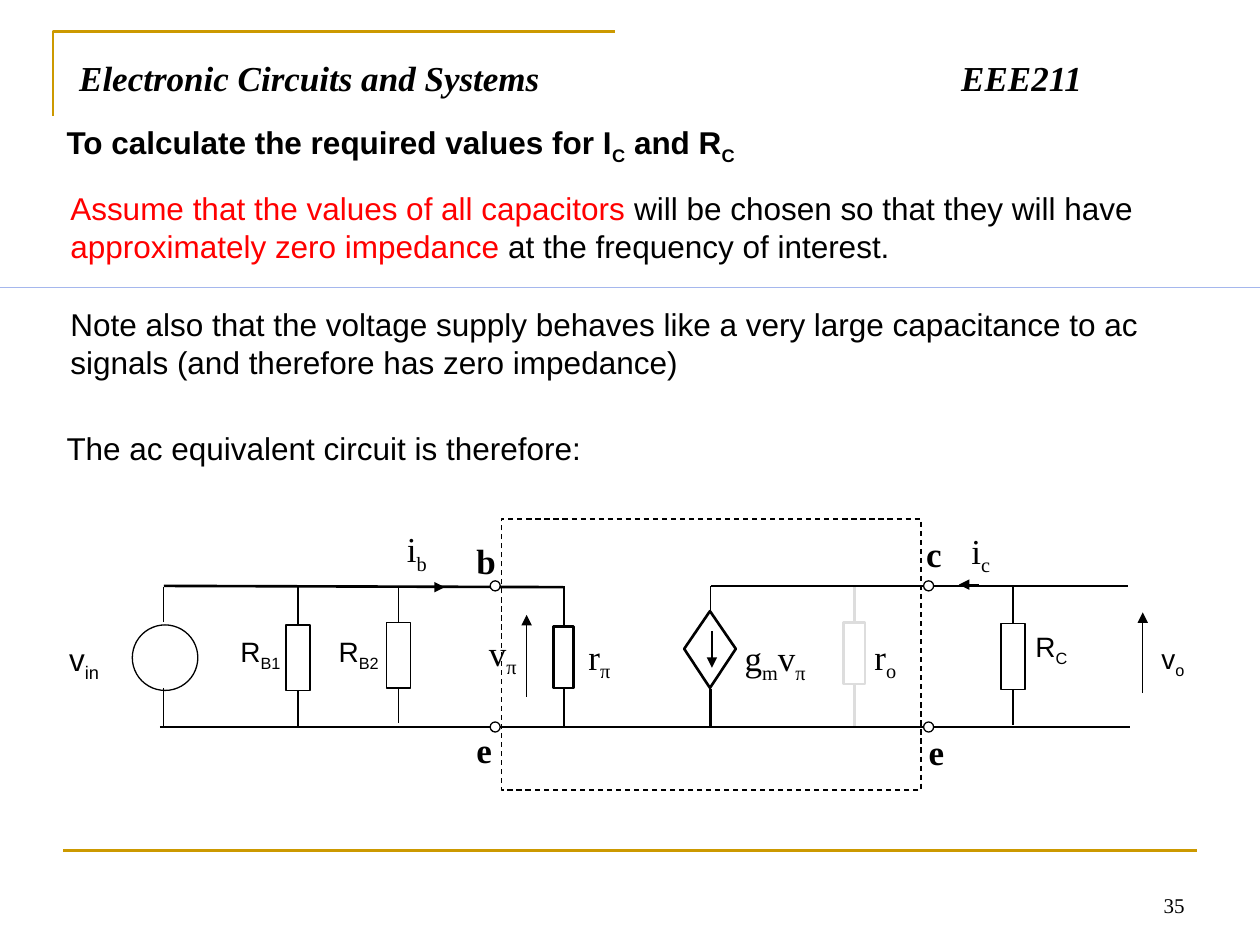
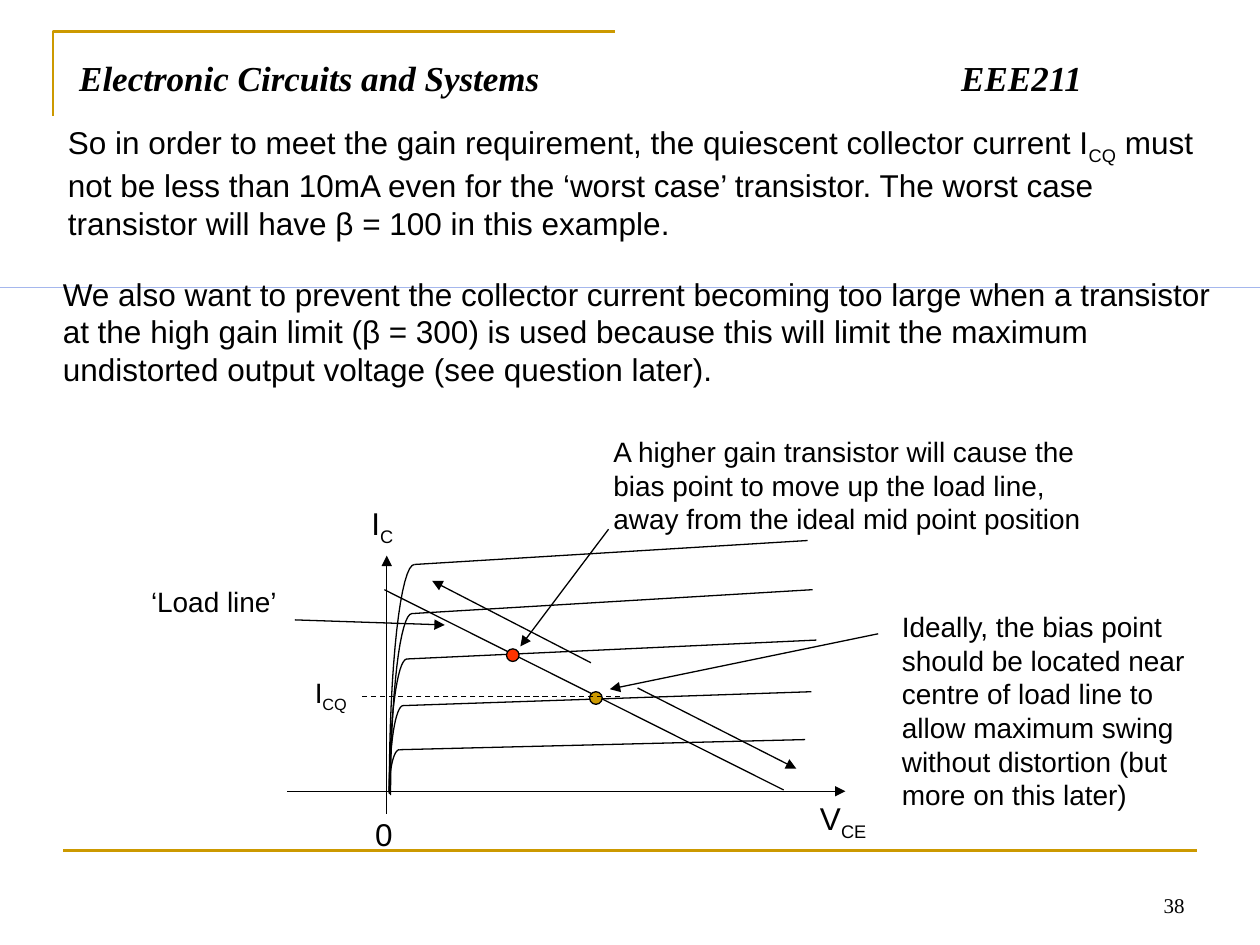
"""Builds two lecture slides on the design of a transistor amplifier."""
from math import cos, pi, sin

from lxml import etree
from pptx import Presentation
from pptx.dml.color import RGBColor
from pptx.enum.dml import MSO_LINE
from pptx.enum.shapes import MSO_CONNECTOR, MSO_SHAPE
from pptx.enum.text import MSO_ANCHOR, PP_ALIGN
from pptx.oxml.ns import qn
from pptx.util import Inches, Pt

RECT, OVAL = MSO_SHAPE.RECTANGLE, MSO_SHAPE.OVAL
STRAIGHT, DASH = MSO_CONNECTOR.STRAIGHT, MSO_LINE.DASH
TOP, BOTTOM = MSO_ANCHOR.TOP, MSO_ANCHOR.BOTTOM
LEFT, RIGHT = PP_ALIGN.LEFT, PP_ALIGN.RIGHT
COLS, ROWS = 100, 75
SANS, SERIF = "Arial", "Times New Roman"
BLACK, WHITE, GOLD, RED = "000000", "FFFFFF", "CC9900", "FF0000"
BLUE, GREY, ORANGE = "0033CC", "DDDDDD", "FF3300"
THIN, THICK = 0.75, 1.5


def rgb(value):
    """Return the colour for a hex string."""
    return RGBColor.from_string(value)


class Deck:
    """Holds the style, the grid and the current slide."""

    def __init__(self):
        """Open an empty presentation of 10 by 7.5 inches."""
        self.prs = Presentation()
        self.prs.slide_width, self.prs.slide_height = Inches(10), Inches(7.5)

    def at(self, col, row):
        """Turn a grid position or size into slide lengths."""
        return (round(col * self.prs.slide_width / COLS),
                round(row * self.prs.slide_height / ROWS))

    def new_slide(self, number):
        """Start a slide with the frame, title and page number."""
        self.s = self.prs.slides.add_slide(self.prs.slide_layouts[6])
        self.outline([(4.2, 9.2), (4.2, 2.5), (48.8, 2.5)], color=GOLD)
        self.wire((5, 67.5), (95, 67.5), THICK, GOLD)
        self.text(number, 71.7, 68.3, 23.3, 5, size=12, font=SERIF,
                  align=RIGHT, anchor=BOTTOM)
        self.text("Electronic Circuits and Systems\tEEE211", 5.3, 4, 89.2, 6.1,
                  size=20, font=SERIF, bold=True, italic=True, tab=70)
        self.shape(RECT, 0, 22.8, 100, 0, fill=BLUE, color=None)

    def text(self, text, col, row, width, height, size=18, font=SANS, bold=False,
             italic=False, align=LEFT, anchor=TOP, inset=True, accent=None, tab=None):
        """Write text whose parts between bars are subscripts, or take the accent colour."""
        sp = self.s.shapes.add_textbox(*self.at(col, row), *self.at(width, height))
        tf = sp.text_frame
        tf.word_wrap, tf.vertical_anchor = True, anchor
        if not inset:
            tf.margin_left = tf.margin_right = tf.margin_top = tf.margin_bottom = 0
        p = tf.paragraphs[0]
        p.alignment = align
        if tab:
            stops = etree.SubElement(p._p.get_or_add_pPr(), qn("a:tabLst"))
            etree.SubElement(stops, qn("a:tab"), pos=str(self.at(tab, 0)[0]), algn="l")
        for i, part in enumerate(text.split("|")):
            if not part:
                continue
            marked = i % 2 == 1
            r = p.add_run()
            r.text = part
            r.font.name, r.font.size = font, Pt(size)
            r.font.bold, r.font.italic = bold, italic
            r.font.color.rgb = rgb(accent if marked and accent else BLACK)
            if marked and not accent:
                r._r.get_or_add_rPr().set("baseline", "-25000")

    def symbol(self, text, col, row, width=2.5, bold=False):
        """Write a circuit symbol in serif type without margins."""
        self.text(text, col, row, width, 3.3, size=20, font=SERIF, bold=bold, inset=False)

    def style(self, sp, fill, color, weight, dash=None):
        """Set the fill and line of a shape."""
        sp.shadow.inherit = False
        if fill:
            sp.fill.solid()
            sp.fill.fore_color.rgb = rgb(fill)
        else:
            sp.fill.background()
        if color:
            sp.line.color.rgb, sp.line.width = rgb(color), Pt(weight)
            sp.line.dash_style = dash
        else:
            sp.line.fill.background()

    def shape(self, kind, col, row, width, height, fill=None, color=BLACK,
              weight=THIN, dash=None):
        """Draw a preset shape."""
        sp = self.s.shapes.add_shape(kind, *self.at(col, row), *self.at(width, height))
        self.style(sp, fill, color, weight, dash)
        return sp

    def outline(self, points, close=False, fill=None, color=BLACK, weight=THICK):
        """Draw a freeform through grid points."""
        first, *rest = [self.at(*point) for point in points]
        builder = self.s.shapes.build_freeform(*first, scale=1.0)
        builder.add_line_segments(rest, close=close)
        self.style(builder.convert_to_shape(), fill, color, weight)

    def wire(self, start, end, weight=THIN, color=BLACK, arrow=False, dash=None):
        """Draw a straight line, with an arrowhead at its end on request."""
        c = self.s.shapes.add_connector(STRAIGHT, *self.at(*start), *self.at(*end))
        c.line.color.rgb, c.line.width = rgb(color), Pt(weight)
        c.line.dash_style = dash
        if arrow:
            etree.SubElement(c.line._get_or_add_ln(), qn("a:tailEnd"), type="triangle")
        etree.SubElement(c._element.spPr, qn("a:effectLst"))
        return c

    def resistor(self, mid, row, width, height, top, bottom, fill=None, color=BLACK):
        """Draw a thick resistor joined to leads above and below."""
        sp = self.shape(RECT, mid - width / 2, row, width, height, fill, color, THICK)
        self.wire((mid, row), (mid, top), THICK, color).begin_connect(sp, 0)
        self.wire((mid, row + height), (mid, bottom), THICK, color).begin_connect(sp, 2)

    def branch(self, mid, row, top, bottom):
        """Draw a thin resistor over a line between the rails."""
        self.wire((mid, top), (mid, bottom))
        self.shape(RECT, mid - 0.95, row, 1.9, 5.2, fill=WHITE)

    def dot(self, col, row, size, fill):
        """Draw a round marker centred on a point."""
        self.shape(OVAL, col - size / 2, row - size / 2, size, size, fill=fill)

    def knee(self, left, bottom, right, top, steps=16):
        """Draw a quarter ellipse that rises from the left to its top."""
        angles = [pi / 2 * i / steps for i in range(steps + 1)]
        self.outline([(right - (right - left) * cos(a), bottom - (bottom - top) * sin(a))
                      for a in angles], weight=THIN)


def circuit_slide(deck):
    """Build the slide with the ac equivalent circuit."""
    deck.new_slide("35")
    deck.text("|Assume that the values of all capacitors| will be chosen so that they "
              "will have |approximately zero impedance |at the frequency of interest.",
              4.6, 14.5, 88.7, 7.1, accent=RED)
    deck.text("The ac equivalent circuit is therefore:", 4.3, 33.6, 88.7, 4)
    deck.text("Note also that the voltage supply behaves like a very large capacitance "
              "to ac signals (and therefore has zero impedance)", 4.6, 23.7, 88.7, 7.1)
    deck.text("To calculate the required values for I|C| and R|C", 4.3, 9.3, 88.7, 4,
              bold=True)

    upper, lower = 46.5, 57.7
    deck.outline([(56.35, 48.5), (54.3, 51.5), (56.35, 54.6), (58.4, 51.5)],
                 close=True, fill=WHITE)
    deck.wire((56.5, 50.1), (56.5, 53), arrow=True)
    deck.wire((56.4, 54.7), (56.4, lower), THICK)
    deck.wire((56.4, 48.5), (56.4, upper), 1)
    deck.resistor(67.8, 49.4, 1.7, 4.9, upper, lower, color=GREY)
    deck.resistor(44.75, 49.7, 1.6, 4.9, upper, lower, fill=WHITE)
    deck.wire((12.7, lower), (89.7, lower), THICK)
    deck.wire((13, upper), (44.7, 46.6), THICK)
    deck.wire((56.4, upper), (89.5, upper), THICK)
    for col in (39.3, 73.7):
        for row in (upper, lower):
            deck.dot(col, row, 0.8, WHITE)

    deck.wire((13, 46.6), (13, 49.4))
    deck.shape(OVAL, 10.5, 49.6, 5.2, 5.2)
    deck.wire((13, 54.6), (13, 57.8))
    for mid, row in ((23.65, 49.6), (31.65, 49.4), (80.4, 49.5)):
        deck.branch(mid, row, upper, row + 8)
    deck.shape(RECT, 39.8, 41.2, 33.3, 21.5, dash=DASH)

    for start, end in (((77.7, 46.4), (76.1, 46.4)), ((33.7, 46.6), (35.3, 46.6)),
                       ((41.8, 55.3), (41.8, 48.8)), ((90.7, 55), (90.7, 48.6))):
        deck.wire(start, end, arrow=True)

    for name, col, row in (("r|π", 46.7, 50.4), ("r|o", 69.4, 50.4), ("v|π", 38.8, 50.1),
                           ("i|c", 77.1, 42), ("i|b", 32.3, 41.9)):
        deck.symbol(name, col, row)
    deck.symbol("g|m|v|π", 59.1, 50.5, 5.6)
    for name, col, row in (("b", 37.8, 42.8), ("e", 37.8, 57.8),
                           ("c", 73.5, 42.3), ("e", 73.7, 58)):
        deck.symbol(name, col, row, 1.5, bold=True)
    deck.text("v|in", 4.5, 50.3, 5.9, 4)
    for name, col, row in (("R|B1", 18.1, 49.9), ("R|B2", 25.9, 49.9),
                           ("R|C", 81.2, 49.5), ("v|o", 91.2, 50.4)):
        deck.text(name, col, row, 6, 3.7, size=16)


def load_line_slide(deck):
    """Build the slide with the load line and bias points."""
    deck.new_slide("38")
    deck.text("So in order to meet the gain requirement, the quiescent collector current "
              "I|CQ| must not be less than 10mA even for the ‘worst case’ transistor. The "
              "worst case transistor will have β = 100 in this example.",
              4.4, 9.3, 93.8, 10.1)
    deck.text("We also want to prevent the collector current becoming too large when a "
              "transistor at the high gain limit (β = 300) is used because this will limit "
              "the maximum undistorted output voltage (see question later).",
              4, 21.3, 93.6, 10)

    for left, bottom, right, top, end in (
            (30.9, 62.8, 32.9, 44.8, (64.1, 42.9)), (31, 63.1, 32.7, 48.7, (64.5, 46.8)),
            (30.9, 63, 32.3, 52.3, (64.8, 50.8)), (30.9, 62.9, 32, 56, (64.4, 54.9)),
            (30.9, 62.8, 31.7, 59.5, (63.9, 58.7))):
        deck.knee(left, bottom, right, top)
        deck.wire((right, top), end)

    deck.wire((62.2, 62.7), (30.5, 46.8))
    deck.dot(47.3, 55.4, 1, GOLD)
    deck.wire((49.2, 55.3), (28.5, 55.3), dash=DASH)
    deck.dot(40.7, 52, 1, ORANGE)
    for start, end in (((30.7, 64.6), (30.7, 44.1)), ((22.8, 62.8), (67.1, 62.8)),
                       ((46.9, 52.6), (34.3, 46.1)), ((50.6, 54.6), (63.2, 61)),
                       ((69.7, 50.3), (48.4, 54.7)), ((23.4, 49.2), (35.3, 49.6)),
                       ((48.3, 42), (41.3, 51.3))):
        deck.wire(start, end, arrow=True)

    for name, col, row, width in (("0", 28.8, 64.2, 4.7), ("I|C", 28.5, 39.5, 4.7),
                                  ("V|CE", 64.1, 62.9, 6.6)):
        deck.text(name, col, row, width, 4)
    for note, col, row, width, height in (
            ("I|CQ", 24, 53.1, 6.4, 3.7), ("‘Load line’", 11, 45.9, 12.5, 3.7),
            ("Ideally, the bias point should be located near centre of load line to allow "
             "maximum swing without distortion (but more on this later)",
             70.6, 47.9, 26.5, 17),
            ("A higher gain transistor will cause the bias point to move up the load line, "
             "away from the ideal mid point position", 47.7, 34, 41.1, 9)):
        deck.text(note, col, row, width, height, size=16)


def main():
    """Build both slides and save the file."""
    deck = Deck()
    circuit_slide(deck)
    load_line_slide(deck)
    deck.prs.save("out.pptx")


if __name__ == "__main__":
    main()
